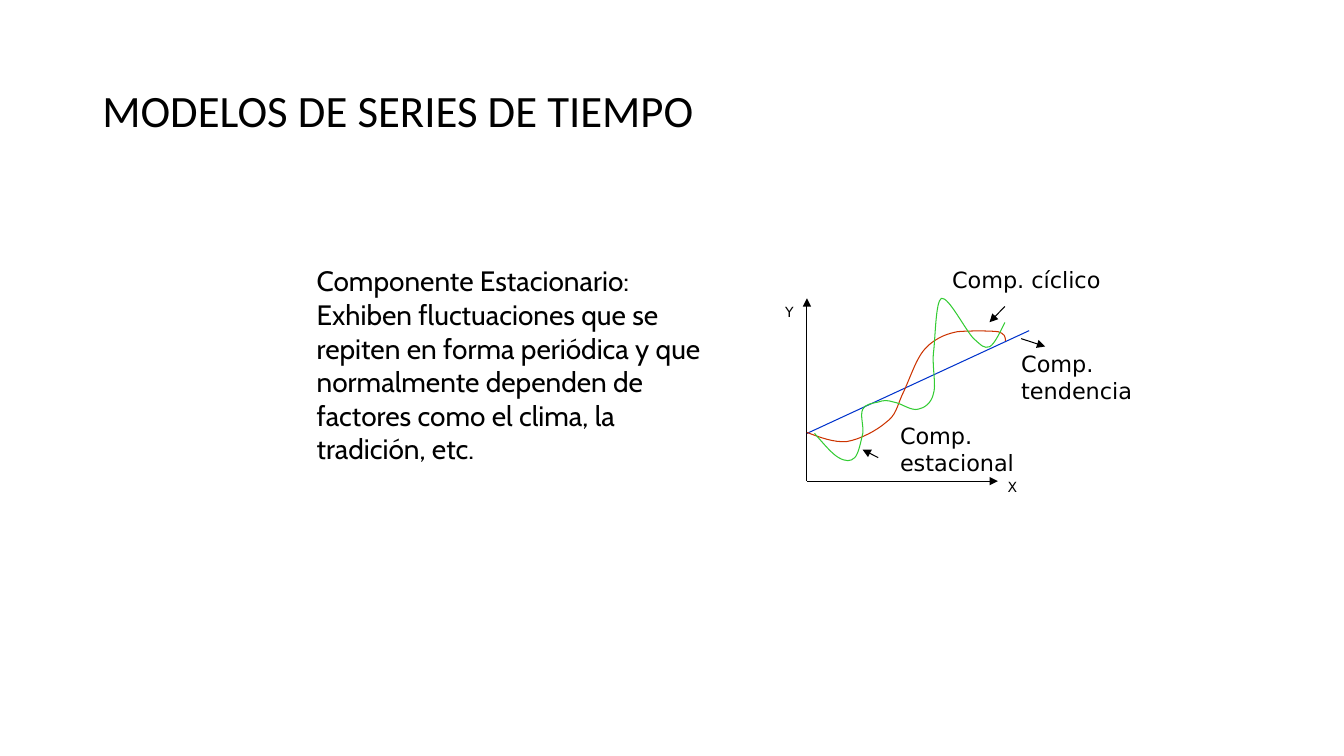
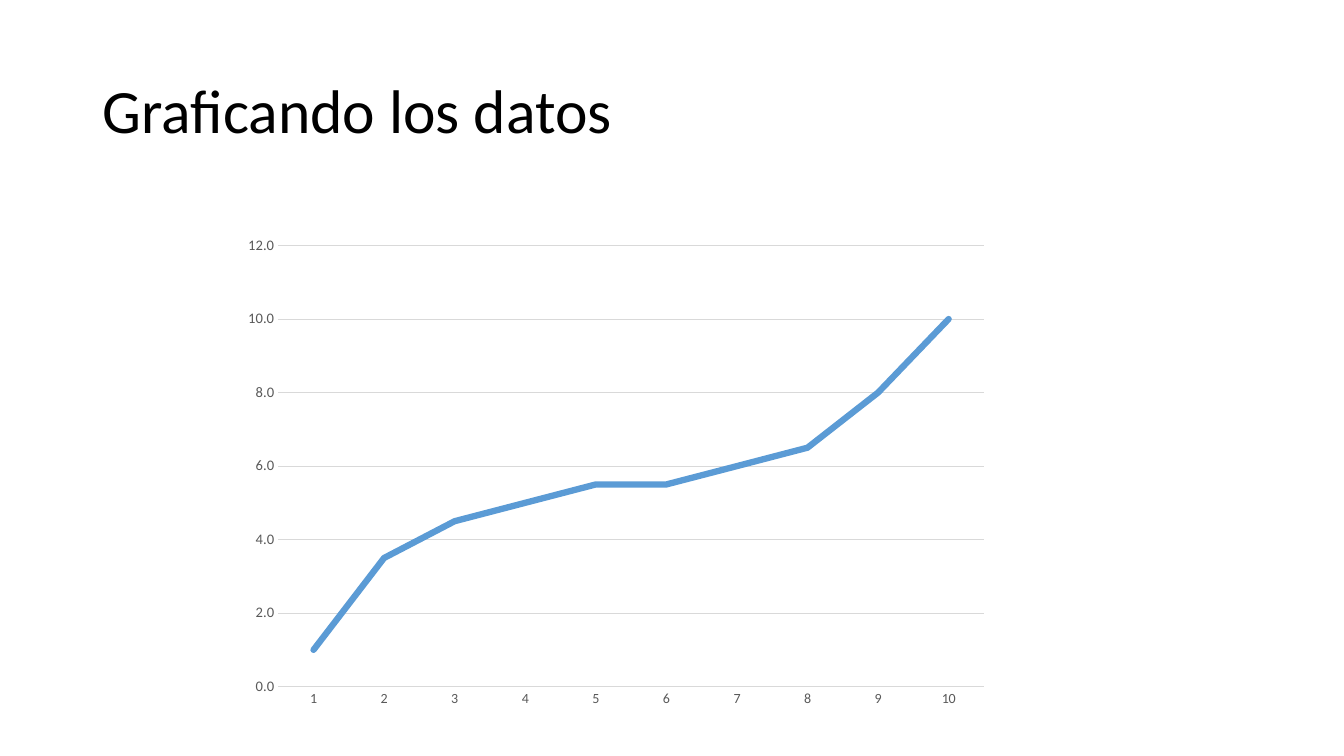
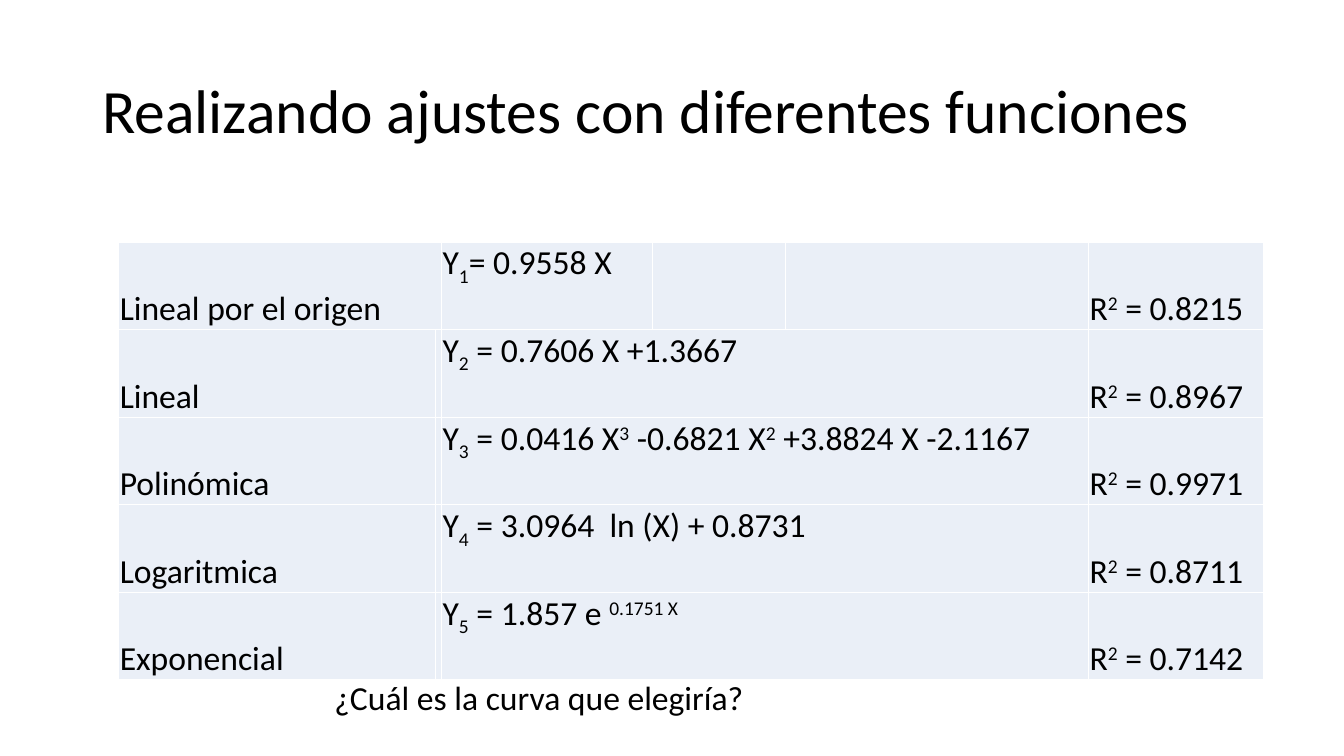
"""Build three slides on time series models and curve fitting."""
from dataclasses import dataclass

from lxml import etree
from pptx import Presentation
from pptx import util as u
from pptx.chart.data import CategoryChartData
from pptx.dml.color import RGBColor
from pptx.enum import chart as ch, shapes, text
from pptx.oxml.ns import qn

Pt = u.Pt
Point = tuple[float, float]
Runs = list[tuple[str, int]]


@dataclass(frozen=True)
class Theme:
    """Colours, fonts and type sizes shared by the slides."""
    ink: str = "000000"
    trend: str = "0033CC"
    cyclic: str = "CC3300"
    seasonal: str = "33CC33"
    series: str = "5B9BD5"
    axis_text: str = "595959"
    grid: str = "D9D9D9"
    cell: str = "EAEFF7"
    border: str = "FFFFFF"
    font: str = "Calibri"
    body_font: str = "Cabin"
    label_font: str = "DejaVu Sans"
    title: float = 44
    long_title: float = 32
    table: float = 24
    body: float = 20
    label: float = 16
    axis: float = 10
    value_axis: float = 10.4
    hairline: float = 0.75
    series_line: float = 4.5


T = Theme()


@dataclass(frozen=True)
class Label:
    """Text in a box given in points."""
    text: str
    left: float
    top: float
    width: float
    height: float
    size: float = T.label
    font: str = T.label_font


@dataclass(frozen=True)
class Segment:
    """Straight line, with an arrowhead at its end unless switched off."""
    start: Point
    end: Point
    color: str = T.ink
    arrow: bool = True


@dataclass(frozen=True)
class Curve:
    """Chain of cubic curves: a start, then three points for each piece."""
    color: str
    points: list[Point]


@dataclass(frozen=True)
class Fit:
    """One fitted function: name, formula and its coefficient."""
    name: str
    formula: Runs
    r2: str


LABELS = [
    Label("X", 712.6, 338, 23, 19.4, T.axis),
    Label("Y", 553.7, 213.1, 23, 19.4, T.axis),
    Label("Componente Estacionario: Exhiben fluctuaciones que se repiten en forma "
          "periódica y que normalmente dependen de factores como el clima, la "
          "tradición, etc.", 219.1, 185, 306, 151.2, T.body, T.body_font),
    Label("Comp. tendencia", 722.4, 246.7, 103.7, 46.1),
    Label("Comp. cíclico", 673, 186.5, 147.6, 26.6),
    Label("Comp. estacional", 635.8, 298.1, 139, 46.1),
]

SEGMENTS = [
    Segment((576.4, 343.7), (576.4, 213.1)),
    Segment((576.4, 343.7), (712.8, 343.7)),
    Segment((576.4, 309.6), (735.1, 236.2), T.trend, False),
    Segment((729.4, 241.9), (746.6, 247.5)),
    Segment((717.8, 218.9), (706.8, 230.2)),
    Segment((627.3, 326.9), (616.1, 321.1)),
]

CURVES = [
    Curve(T.cyclic, [
        (576.4, 308.9),
        (586.1, 312.5), (595.4, 316.1), (604.8, 315.4),
        (614.2, 313.9), (626.4, 307.4), (632.9, 301.7),
        (640.1, 296.6), (640.8, 290.2), (644.4, 282.2),
        (648, 275), (652.3, 262.8), (655.9, 256.3),
        (659.5, 249.8), (662.4, 247), (667.4, 243.4),
        (671.8, 240.5), (676.8, 238.3), (684, 236.9),
        (691.9, 236.2), (707, 236.2), (712.8, 236.9),
        (717.8, 238.3), (718.2, 240.5), (718.2, 243.4),
    ]),
    Curve(T.seasonal, [
        (581.8, 309.6),
        (588.2, 316.8), (594, 324), (599, 326.9),
        (604.1, 329.8), (607.7, 329.8), (610.6, 326.9),
        (613.4, 324), (614.9, 315.4), (616.3, 309.6),
        (617, 303.8), (614.2, 296.6), (616.3, 292.3),
        (617.8, 288.7), (623.5, 288), (627.1, 287.3),
        (631.4, 285.8), (633.6, 285.8), (638.6, 287.3),
        (643.7, 288), (650.9, 293.8), (655.9, 292.3),
        (660.2, 291.6), (665.3, 288), (666.7, 281.5),
        (668.9, 275), (666, 264.2), (666.7, 252.7),
        (668.2, 241.9), (668.2, 215.3), (672.5, 213.1),
        (677.5, 211.7), (689.8, 236.2), (695.5, 241.9),
        (701.3, 247), (702.7, 249.1), (707, 247.7),
        (710.6, 245.5), (714.2, 237.6), (717.8, 230.4),
    ]),
]

SUB, SUP = -25000, 30000
FITS = [
    Fit("Lineal por el origen", [("Y", 0), ("1", SUB), ("= 0.9558 X", 0)], "0.8215"),
    Fit("Lineal", [("Y", 0), ("2", SUB), (" = 0.7606 X +1.3667", 0)], "0.8967"),
    Fit("Polinómica", [("Y", 0), ("3", SUB), (" = 0.0416 X", 0), ("3", SUP),
                       (" -0.6821 X", 0), ("2", SUP), (" +3.8824 X -2.1167", 0)], "0.9971"),
    Fit("Logaritmica", [("Y", 0), ("4", SUB), (" = 3.0964  ln (X) + 0.8731", 0)], "0.8711"),
    Fit("Exponencial", [("Y", 0), ("5", SUB), (" = 1.857 e ", 0), ("0.1751 X", SUP)], "0.7142"),
]
COLUMNS = [226.3, 3.6, 150.5, 95, 216.7, 125.3]
ROW_HEIGHT = 62.6
VALUES = [1, 3.5, 4.5, 5, 5.5, 5.5, 6, 6.5, 8, 10]


def rgb(color: str) -> RGBColor:
    """Turn a hex string into a colour."""
    return RGBColor.from_string(color)


def style_font(font, size: float, name: str = T.font, color: str = T.ink) -> None:
    """Set size, typeface and colour."""
    font.size, font.name = Pt(size), name
    font.color.rgb = rgb(color)


def style_line(line, color: str, width: float = T.hairline) -> None:
    """Set colour and width of a line."""
    line.color.rgb = rgb(color)
    line.width = Pt(width)


def add_runs(p, runs: Runs, size: float, font: str = T.font) -> None:
    """Add runs with their baseline shifts to a paragraph."""
    for words, shift in runs:
        r = p.add_run()
        r.text = words
        style_font(r.font, size, font)
        if shift:
            r._r.get_or_add_rPr().set("baseline", str(shift))


def add_label(s, label: Label):
    """Add a wrapping text box and return its text frame."""
    box = (label.left, label.top, label.width, label.height)
    tf = s.shapes.add_textbox(*map(Pt, box)).text_frame
    tf.word_wrap = True
    add_runs(tf.paragraphs[0], [(label.text, 0)], label.size, label.font)
    return tf


def add_slide(prs, title: str, size: float = T.title):
    """Add a blank slide with the shared title."""
    s = prs.slides.add_slide(prs.slide_layouts[6])
    tf = add_label(s, Label(title, 66, 28.8, 828, 104.4, size, T.font))
    tf.vertical_anchor = text.MSO_ANCHOR.MIDDLE
    tf.paragraphs[0].line_spacing = 0.9
    return s


def add_segment(s, seg: Segment) -> None:
    """Draw a line or an arrow."""
    sp = s.shapes.add_connector(shapes.MSO_CONNECTOR.STRAIGHT,
                                *map(Pt, seg.start + seg.end))
    style_line(sp.line, seg.color)
    if seg.arrow:
        etree.SubElement(sp.line._get_or_add_ln(), qn("a:tailEnd"), type="triangle")
    etree.SubElement(sp._element.spPr, qn("a:effectLst"))


def add_curve(s, curve: Curve) -> None:
    """Draw an open freeform whose points are joined by cubic curves."""
    start, *rest = curve.points
    fb = s.shapes.build_freeform(*map(Pt, start))
    fb.add_line_segments([(Pt(x), Pt(y)) for x, y in rest], close=False)
    sp = fb.convert_to_shape()
    sp.shadow.inherit = False
    sp.fill.background()
    style_line(sp.line, curve.color)
    steps = list(sp._element.iter(qn("a:lnTo")))
    for i in range(0, len(steps), 3):
        bend = etree.Element(qn("a:cubicBezTo"))
        steps[i].addprevious(bend)
        for step in steps[i:i + 3]:
            bend.append(step[0])
            step.getparent().remove(step)


def add_line_chart(s) -> None:
    """Add the chart of the data."""
    data = CategoryChartData(number_format="0.0")
    data.categories = [str(n) for n in range(1, len(VALUES) + 1)]
    data.add_series("Series 1", VALUES)
    chart = s.shapes.add_chart(ch.XL_CHART_TYPE.LINE, Pt(166.3), Pt(162),
                               Pt(547.5), Pt(349.6), data).chart
    chart.has_legend = chart.has_title = False
    style_font(chart.font, T.axis)
    x, y = chart.category_axis, chart.value_axis
    for axis, size in ((x, T.axis), (y, T.value_axis)):
        axis.major_tick_mark = axis.minor_tick_mark = ch.XL_TICK_MARK.NONE
        style_font(axis.tick_labels.font, size, color=T.axis_text)
    style_line(x.format.line, T.grid)
    y.format.line.fill.background()
    y.minimum_scale, y.maximum_scale, y.major_unit = 0, 12, 2
    y.has_major_gridlines = True
    style_line(y.major_gridlines.format.line, T.grid)
    y.tick_labels.number_format = "0.0"
    y.tick_labels.number_format_is_linked = False
    chart.plots[0].vary_by_categories = False
    series = chart.plots[0].series[0]
    series.smooth = False
    series.marker.style = ch.XL_MARKER_STYLE.NONE
    style_line(series.format.line, T.series, T.series_line)
    series.format.line._get_or_add_ln().set("cap", "rnd")


def style_cell(cell) -> None:
    """Give a cell its margins, borders and fill."""
    cell.margin_left = cell.margin_right = cell.margin_top = Pt(0.75)
    cell.margin_bottom = Pt(0)
    cell.vertical_anchor = text.MSO_ANCHOR.BOTTOM
    tc_pr = cell._tc.get_or_add_tcPr()
    for side in ("lnL", "lnR", "lnT", "lnB"):
        ln = etree.SubElement(tc_pr, qn(f"a:{side}"), w=str(Pt(1)))
        fill = etree.SubElement(ln, qn("a:solidFill"))
        etree.SubElement(fill, qn("a:srgbClr"), val=T.border)
    cell.fill.solid()
    cell.fill.fore_color.rgb = rgb(T.cell)


def add_fit_table(s) -> None:
    """Add the table of fitted functions."""
    table = s.shapes.add_table(len(FITS), len(COLUMNS), Pt(84.8), Pt(172.8),
                               Pt(sum(COLUMNS)), Pt(ROW_HEIGHT * len(FITS))).table
    table.first_row = table.horz_banding = False
    for column, width in zip(table.columns, COLUMNS):
        column.width = Pt(width)
    for i, fit in enumerate(FITS):
        table.rows[i].height = Pt(ROW_HEIGHT)
        cells = [table.cell(i, j) for j in range(len(COLUMNS))]
        for cell in cells:
            style_cell(cell)
        first, last = (2, 4) if i else (0, 1)
        cells[first].merge(cells[last])
        cells[2].vertical_anchor = text.MSO_ANCHOR.TOP
        r2 = [("R", 0), ("2", SUP), (f" = {fit.r2}", 0)]
        for j, runs in ((0, [(fit.name, 0)]), (2, fit.formula), (5, r2)):
            add_runs(cells[j].text_frame.paragraphs[0], runs, T.table)


def main() -> None:
    """Build and save the presentation."""
    prs = Presentation()
    prs.slide_width, prs.slide_height = Pt(960), Pt(540)

    s = add_slide(prs, "MODELOS DE SERIES DE TIEMPO", T.long_title)
    for seg in SEGMENTS:
        add_segment(s, seg)
    for curve in CURVES:
        add_curve(s, curve)
    for label in LABELS:
        add_label(s, label)

    add_line_chart(add_slide(prs, "Graficando los datos"))

    s = add_slide(prs, "Realizando ajustes con diferentes funciones")
    add_fit_table(s)
    add_label(s, Label("¿Cuál es la curva que elegiría?", 231.8, 480, 455, 36,
                       T.table, T.font))
    prs.save("out.pptx")


if __name__ == "__main__":
    main()
